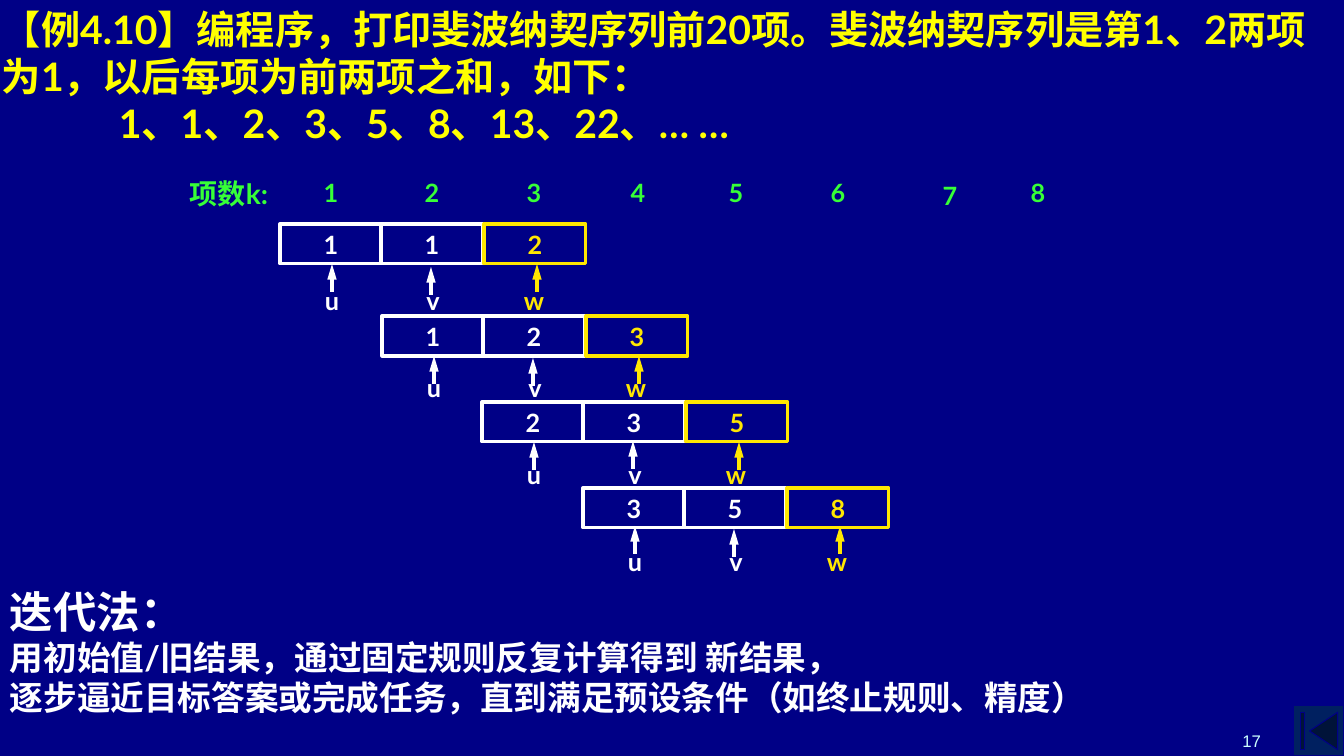
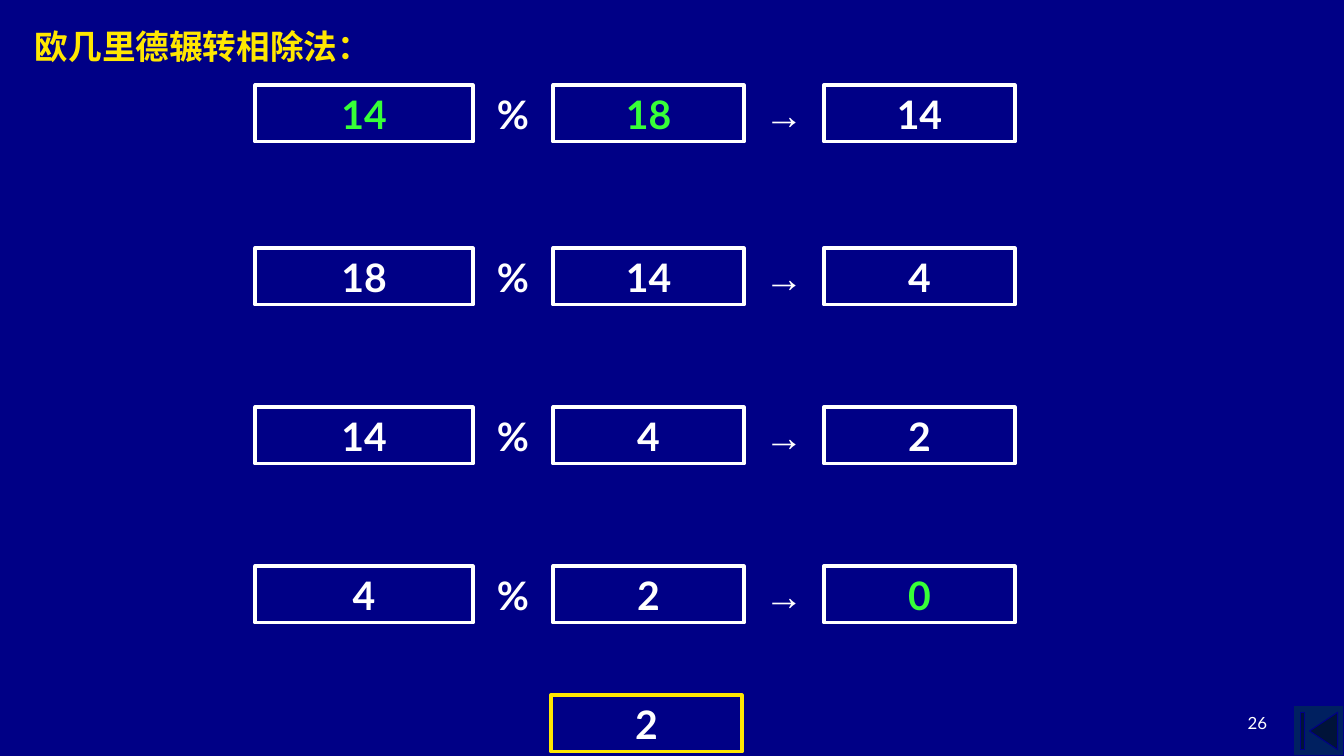
from dataclasses import dataclass
from itertools import accumulate

from lxml import etree
from pptx import Presentation
from pptx.dml.color import RGBColor
from pptx.enum.shapes import MSO_CONNECTOR, MSO_SHAPE
from pptx.enum.text import MSO_ANCHOR as Anchor, PP_ALIGN as Align
from pptx.oxml.ns import qn
from pptx.util import Pt

SLIDE_W, SLIDE_H = 1344, 756
SCALE = 12192000 / SLIDE_W


@dataclass(frozen=True)
class Theme:
    navy: str = "000086"
    button: str = "002060"
    white: str = "FFFFFF"
    pale: str = "CCFFFF"
    green: str = "37FF37"
    gold: str = "FFE701"
    yellow: str = "FFFF00"
    body: str = "Lato"
    sans: str = "Arial"
    heading: str = "Noto Sans CJK SC"
    small: int = 12
    cell: int = 18
    caption: int = 20
    text: int = 24
    large: int = 28
    method: int = 31
    stroke: float = 2.25
    hairline: float = 0.75


THEME = Theme()


def px(*lengths):
    return [round(length * SCALE) for length in lengths]


def rgb(value):
    return RGBColor.from_string(value)


def style_runs(paragraph, size, color, font=THEME.body, bold=True):
    for run in paragraph.runs:
        run.font.size = Pt(size)
        run.font.bold = bold
        run.font.color.rgb = rgb(color)
        run.font.name = font
        east_asian = etree.SubElement(run.font._element, qn("a:ea"))
        east_asian.set("typeface", THEME.body)


def write(shape, text, size, color, font=THEME.body, align=Align.LEFT,
          anchor=Anchor.TOP, bold=True):
    frame = shape.text_frame
    frame.word_wrap = True
    frame.vertical_anchor = anchor
    frame.text = text
    for paragraph in frame.paragraphs:
        paragraph.alignment = align
        style_runs(paragraph, size, color, font, bold)
    return frame


def label(slide, box, text, size, color, **options):
    return write(slide.shapes.add_textbox(*px(*box)), text, size, color, **options)


def framed(slide, box, text, size, color, border):
    """Outlined box with centred text."""
    cell = slide.shapes.add_shape(MSO_SHAPE.RECTANGLE, *px(*box))
    cell.shadow.inherit = False
    cell.fill.background()
    cell.line.color.rgb = rgb(border)
    cell.line.width = Pt(THEME.stroke)
    write(cell, text, size, color, align=Align.CENTER)


def up_arrow(slide, x, tip, length, color):
    arrow = slide.shapes.add_connector(
        MSO_CONNECTOR.STRAIGHT, *px(x, tip + length, x, tip))
    arrow.line.color.rgb = rgb(color)
    arrow.line.width = Pt(THEME.stroke)
    etree.SubElement(arrow.line._get_or_add_ln(), qn("a:tailEnd"),
                     type="triangle", w="med", len="lg")
    etree.SubElement(arrow._element.spPr, qn("a:effectLst"))


def new_slide(prs, number, number_box, number_color, number_font):
    """Blank slide with its return button and page number."""
    slide = prs.slides.add_slide(prs.slide_layouts[6])
    button = slide.shapes.add_shape(
        MSO_SHAPE.ACTION_BUTTON_BEGINNING, *px(SLIDE_W - 50, SLIDE_H - 50, 50, 50))
    button.shadow.inherit = False
    button.fill.solid()
    button.fill.fore_color.rgb = rgb(THEME.button)
    button.line.color.rgb = rgb(THEME.navy)
    button.line.width = Pt(THEME.hairline)
    label(slide, number_box, number, THEME.small, number_color, font=number_font,
          align=Align.RIGHT, anchor=Anchor.BOTTOM, bold=False)
    return slide


def term_header(slide, top, lefts):
    label(slide, (174, top, 104, 44), "项数k:", THEME.caption, THEME.green,
          align=Align.RIGHT)
    for term, left in enumerate(lefts, start=1):
        drop = 3 if term == 7 else 0
        label(slide, (left, top + drop, 102, 40), str(term), THEME.cell,
              THEME.green, align=Align.CENTER)


def iteration_step(slide, left, top, names_top, values, tips):
    """Cells u, v and w, each with an arrow from its name below."""
    columns = zip("uvw", values, tips, (0, 101, 204), (52, 151, 257), (1, 102, 203),
                  (THEME.white, THEME.white, THEME.gold))
    for name, value, tip, cell_x, arrow_x, name_x, color in columns:
        framed(slide, (left + cell_x, top, 102, 40), str(value), THEME.cell,
               color, color)
        label(slide, (left + name_x, names_top, 102, 40), name, THEME.cell,
              color, align=Align.CENTER)
        up_arrow(slide, left + arrow_x, top + tip, 28, color)


def fibonacci_slide(prs):
    slide = new_slide(prs, "17", (1036, 706, 235, 50), THEME.pale, THEME.sans)
    term_header(slide, 172, (280, 381, 483, 587, 685, 787, 899, 987))
    steps = (
        (280, 224, (1, 1, 2), (40, 43, 40)),
        (382, 316, (1, 2, 3), (40, 42, 40)),
        (482, 402, (2, 3, 5), (40, 39, 40)),
        (583, 488, (3, 5, 8), (38, 41, 38)),
    )
    for index, (left, top, values, tips) in enumerate(steps):
        iteration_step(slide, left, top, 280 + 87 * index, values, tips)

    problem = label(
        slide, (-8, 0, 1353, 161),
        "【例4.10】编程序，打印斐波纳契序列前20项。斐波纳契序列是第1、2两项为1，"
        "以后每项为前两项之和，如下：\n1、1、2、3、5、8、13、22、… …",
        THEME.large, THEME.yellow)
    sequence = problem.paragraphs[1]._p.get_or_add_pPr()
    sequence.set("marL", str(px(117)[0]))
    sequence.set("indent", "0")

    method = label(
        slide, (0, 580, 1363, 144),
        "迭代法：\n用初始值/旧结果，通过固定规则反复计算得到 新结果，\n"
        "逐步逼近目标答案或完成任务，直到满足预设条件（如终止规则、精度）",
        THEME.text, THEME.white)
    method.paragraphs[0].runs[0].font.size = Pt(THEME.method)


def division_row(slide, left, top, numbers, green):
    """Dividend % divisor → remainder; green holds the highlighted numbers' indexes."""
    widths = (218, 80, 191, 80, 191)
    lefts = list(accumulate(widths[:-1], initial=left))
    boxes = [(x, top, width, 57) for x, width in zip(lefts, widths)]
    for index, (number, box) in enumerate(zip(numbers, boxes[::2])):
        color = THEME.green if index in green else THEME.white
        framed(slide, box, str(number), THEME.large, color, THEME.white)
    for sign, font, box in zip("%→", (THEME.body, THEME.sans), boxes[1::2]):
        label(slide, box, sign, THEME.large, THEME.white, font=font,
              align=Align.CENTER)


def euclid_slide(prs):
    slide = new_slide(prs, "26", (964, 688, 313, 50), THEME.white, THEME.body)
    divisions = (
        (85, (14, 18, 14), (0, 1)),
        (248, (18, 14, 4), ()),
        (407, (14, 4, 2), ()),
        (566, (4, 2, 0), (2,)),
    )
    for top, numbers, green in divisions:
        division_row(slide, 255, top, numbers, green)
    framed(slide, (551, 695, 191, 57), "2", THEME.large, THEME.white, THEME.gold)
    label(slide, (25, 21, 357, 51), "欧几里德辗转相除法：", THEME.text, THEME.gold,
          font=THEME.heading)


def main():
    prs = Presentation()
    prs.slide_width, prs.slide_height = px(SLIDE_W, SLIDE_H)
    backdrop = prs.slide_master.background.fill
    backdrop.solid()
    backdrop.fore_color.rgb = rgb(THEME.navy)
    fibonacci_slide(prs)
    euclid_slide(prs)
    prs.save("out.pptx")


if __name__ == "__main__":
    main()
